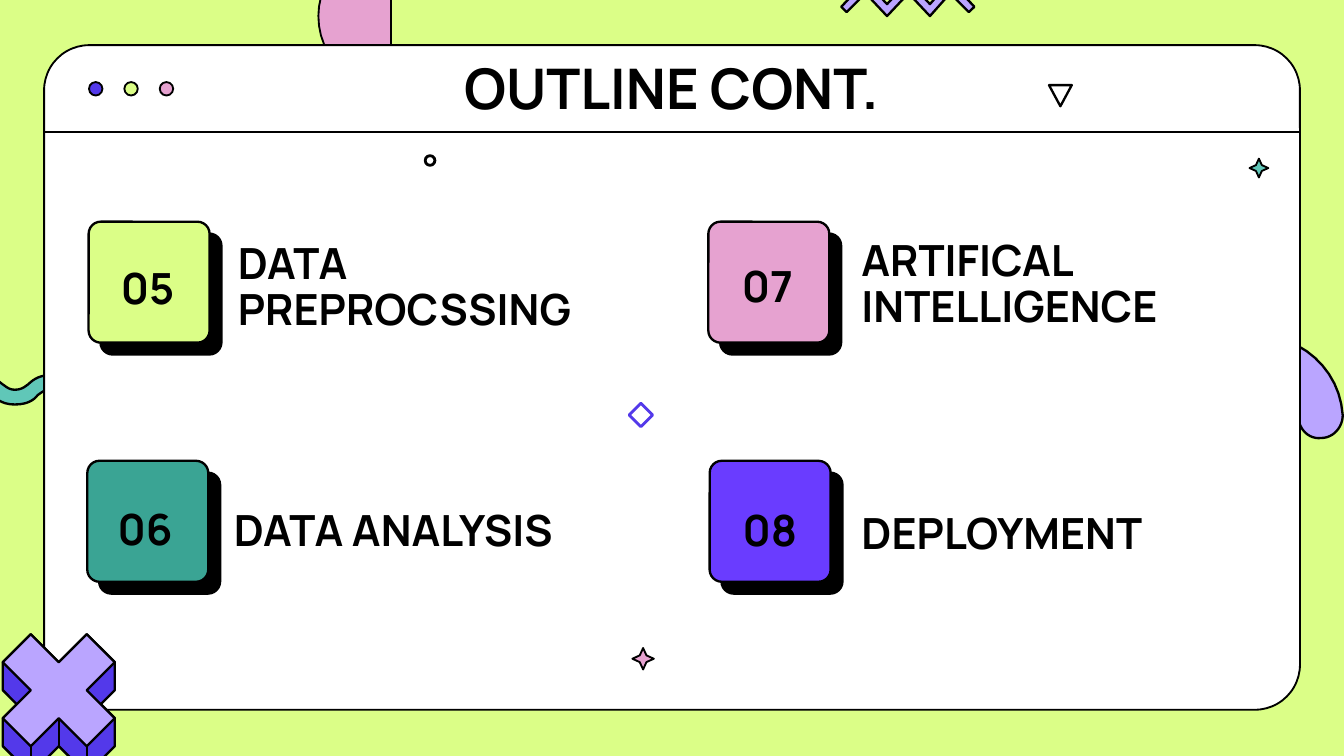
from dataclasses import dataclass

from lxml import etree
from pptx import Presentation
from pptx.dml.color import RGBColor
from pptx.enum.shapes import MSO_CONNECTOR, MSO_SHAPE
from pptx.enum.text import MSO_ANCHOR, MSO_AUTO_SIZE, PP_ALIGN
from pptx.oxml.ns import qn
from pptx.util import Pt

ROUNDED, OVAL = MSO_SHAPE.ROUNDED_RECTANGLE, MSO_SHAPE.OVAL
DIAMOND, STAR = MSO_SHAPE.DIAMOND, MSO_SHAPE.STAR_4_POINT
STRAIGHT = MSO_CONNECTOR.STRAIGHT
TOP, MIDDLE = MSO_ANCHOR.TOP, MSO_ANCHOR.MIDDLE
LEFT, CENTER = PP_ALIGN.LEFT, PP_ALIGN.CENTER
NO_AUTOFIT = MSO_AUTO_SIZE.NONE

BLACK = RGBColor(0x00, 0x00, 0x00)
WHITE = RGBColor(0xFF, 0xFF, 0xFF)
LIME = RGBColor(0xDB, 0xFE, 0x87)
PINK = RGBColor(0xE6, 0xA2, 0xD0)
AQUA = RGBColor(0x60, 0xC7, 0xB8)
TEAL = RGBColor(0x3A, 0xA4, 0x94)
LILAC = RGBColor(0xBA, 0xA5, 0xFF)
INDIGO = RGBColor(0x53, 0x39, 0xEA)
VIOLET = RGBColor(0x6A, 0x3C, 0xFF)

TILE_SIZE = 64.8
NUMBER_SIZE = (76.3, 41)
COMPARISON_LAYOUT = 4  # a title and four body placeholders


@dataclass
class Topic:
    number: str
    label: str
    color: RGBColor
    tile: tuple
    number_at: tuple
    label_box: tuple


TOPICS = [
    Topic("05", "DATA PREPROCSSING", LIME, (47.5, 118.8), (41, 135.4), (120.2, 126, 249.1, 50.4)),
    Topic("06", "DATA ANALYSIS", TEAL, (46.8, 246.9), (39.6, 264.2), (118.1, 269.3, 249.1, 31.7)),
    Topic("07", "ARTIFICAL INTELLIGENCE", PINK, (379.5, 118.8), (373, 133.9), (454.3, 124.6, 180, 53.3)),
    Topic("08", "DEPLOYMENT", VIOLET, (380.2, 246.9), (374.4, 265), (454.3, 270.7, 219.6, 28.8)),
]

# Outlines: a pair is a straight step, six values are a Bezier curve
WAVE = [
    (-10.1, 200.9), (-4.3, 200.9, -1.4, 203.8, 1.4, 205.9),
    (3.6, 207.4, 5, 208.8, 7.9, 208.8), (11.5, 208.8, 13, 207.4, 15.1, 205.9),
    (17.3, 203.8, 20.9, 200.9, 27.4, 200.9), (27.4, 208.8),
    (23.8, 208.8, 22.3, 210.2, 20.2, 211.7), (18, 214.6, 14.4, 216.7, 7.9, 216.7),
    (2.2, 216.7, -1.4, 214.6, -3.6, 211.7), (-5.8, 210.2, -7.2, 208.8, -10.1, 208.8),
]
ARCH = [
    (653.8, 185), (659.5, 182.2, 666, 180.7, 672.5, 180),
    (697, 179.3, 717.8, 198, 719.3, 222.5), (719.3, 229, 714.2, 234.7, 707.8, 234.7),
    (701.3, 235.4, 696.2, 230.4, 695.5, 223.9), (695.5, 212.4, 685.4, 203, 673.9, 203.8),
]
HALF_DISC = [
    (170.6, 8.6), (170.6, 30.2, 187.9, 47.5, 209.5, 47.5),
    (209.5, -29.5), (187.9, -29.5, 170.6, -12.2, 170.6, 8.6),
]
ZIGZAG = [
    (498.2, 8.6), (486.7, -3.6), (475.2, 8.6), (463.7, -3.6), (453.6, 6.5),
    (450.7, 3.6), (463.7, -10.1), (475.2, 2.2), (486.7, -10.1), (498.2, 2.2),
    (509, -10.1), (522, 3.6), (519.1, 6.5), (509, -3.6),
]
TRIANGLE = [(562, 45.6), (574.2, 45.6), (568.1, 56.9)]

# Block cross, in grid steps from its top left corner
CROSS_ORIGIN, CROSS_STEP = (1.5, 339.8), 15
CROSS_SIDE = [(3, 0), (4, 1), (4, 2), (3.5, 2.5), (4, 3), (4, 4), (3, 5), (2, 4),
              (1, 5), (0, 4), (0, 3), (0.5, 2.5), (0, 2), (0, 1), (1, 0), (2, 1)]
CROSS_FACE = [(3, 0), (4, 1), (3, 2), (4, 3), (3, 4), (2, 3),
              (1, 4), (0, 3), (1, 2), (0, 1), (1, 0), (2, 1)]
CROSS_EDGES = [(1, 4), (2, 3), (3, 4)]


def style(shape, fill: RGBColor | None, line: RGBColor, width: float) -> None:
    shape.shadow.inherit = False
    if fill is None:
        shape.fill.background()
    else:
        shape.fill.solid()
        shape.fill.fore_color.rgb = fill
    shape.line.color.rgb = line
    shape.line.width = Pt(width)


def add_preset(page, kind, box: tuple, fill, line=BLACK, width: float = 1, adjust=None):
    shape = page.shapes.add_shape(kind, *map(Pt, box))
    if adjust is not None:
        shape.adjustments[0] = adjust
    style(shape, fill, line, width)
    return shape


def flatten(outline: list, steps: int = 12) -> list:
    points = [outline[0]]
    for segment in outline[1:]:
        if len(segment) == 2:
            points.append(segment)
            continue
        controls = [points[-1], segment[:2], segment[2:4], segment[4:]]
        for step in range(1, steps + 1):
            t = step / steps
            weights = ((1 - t) ** 3, 3 * t * (1 - t) ** 2, 3 * t * t * (1 - t), t ** 3)
            points.append(tuple(sum(w * c[axis] for w, c in zip(weights, controls)) for axis in (0, 1)))
    return points


def add_outline(page, outline: list, fill, width: float = 1.25) -> None:
    points = [(Pt(x), Pt(y)) for x, y in flatten(outline)]
    builder = page.shapes.build_freeform(*points[0], scale=1.0)
    builder.add_line_segments(points[1:], close=True)
    style(builder.convert_to_shape(), fill, BLACK, width)


def add_rule(page, start: tuple, end: tuple, width: float = 1) -> None:
    rule = page.shapes.add_connector(STRAIGHT, *map(Pt, start + end))
    rule.line.color.rgb = BLACK
    rule.line.width = Pt(width)
    etree.SubElement(rule._element.spPr, qn("a:effectLst"))


def add_tile(page, topic: Topic) -> None:
    tile = add_preset(page, ROUNDED, (*topic.tile, TILE_SIZE, TILE_SIZE), topic.color, width=1.25, adjust=0.1)
    effects = tile._element.spPr.find(qn("a:effectLst"))
    shadow = etree.SubElement(effects, qn("a:outerShdw"), dist=str(Pt(9)), dir="2700000",
                              algn="bl", rotWithShape="0")
    etree.SubElement(shadow, qn("a:srgbClr"), val=str(BLACK))


def write(shape, box: tuple, text: str, size: float = 23, align=LEFT, anchor=TOP) -> None:
    for name, value in zip(("left", "top", "width", "height"), box):
        setattr(shape, name, Pt(value))
    frame = shape.text_frame
    frame_format = {"word_wrap": True, "auto_size": NO_AUTOFIT, "vertical_anchor": anchor}
    for name, value in frame_format.items():
        setattr(frame, name, value)
    para = frame.paragraphs[0]
    properties = para._p.get_or_add_pPr()
    properties.set("marL", "0")
    properties.set("indent", "0")
    etree.SubElement(properties, qn("a:buNone"))
    para_format = {"alignment": align, "line_spacing": 0.9, "space_before": Pt(0)}
    for name, value in para_format.items():
        setattr(para, name, value)
    span = para.add_run()
    span.text = text
    for name, value in {"name": "Manrope", "size": Pt(size), "bold": True}.items():
        setattr(span.font, name, value)
    span.font.color.rgb = BLACK


def add_cross(page) -> None:
    def place(column: float, row: float) -> tuple:
        return CROSS_ORIGIN[0] + column * CROSS_STEP, CROSS_ORIGIN[1] + row * CROSS_STEP

    for outline, color in ((CROSS_SIDE, INDIGO), (CROSS_FACE, LILAC)):
        add_outline(page, [place(*point) for point in outline], color)
    for column, row in CROSS_EDGES:
        add_rule(page, place(column, row), place(column, row + 1), 1.25)


def main() -> None:
    deck = Presentation()
    deck.slide_width, deck.slide_height = Pt(720), Pt(405)
    page = deck.slides.add_slide(deck.slide_layouts[COMPARISON_LAYOUT])
    title, *bodies = list(page.placeholders)
    page.background.fill.solid()
    page.background.fill.fore_color.rgb = LIME

    # Shapes peeking out behind the window
    add_outline(page, WAVE, AQUA)
    add_outline(page, ARCH, LILAC)
    add_outline(page, HALF_DISC, PINK, 1)
    add_outline(page, ZIGZAG, LILAC)

    # Window with its header and buttons
    add_preset(page, ROUNDED, (23.6, 24.2, 672.8, 356.1), WHITE, adjust=0.068)
    add_rule(page, (23.6, 70.7), (696.4, 70.7))
    for index, color in enumerate((INDIGO, LIME, PINK)):
        add_preset(page, OVAL, (47.7 + 18.95 * index, 44, 7.2, 7.2), color)

    # Small ornaments
    add_preset(page, STAR, (338.8, 347.2, 11.5, 11.5), PINK, adjust=0.22)
    add_preset(page, STAR, (669.4, 85, 10.1, 10.1), AQUA, adjust=0.22)
    add_preset(page, DIAMOND, (337, 216, 12.6, 12.6), None, INDIGO, 1.5)
    add_preset(page, OVAL, (227.8, 83.4, 5.2, 5.2), None, width=1.5)
    add_outline(page, TRIANGLE, None)
    add_cross(page)

    # Title and topics, with placeholders raised above the window
    for placeholder in (title, *bodies):
        page.shapes._spTree.append(placeholder._element)
    write(title, (56.7, 34.6, 606.2, 28.8), "OUTLINE CONT.", 30, CENTER, MIDDLE)
    for topic, body in zip(TOPICS, bodies):
        add_tile(page, topic)
        write(body, topic.label_box, topic.label)
        number_box = (*topic.number_at, *NUMBER_SIZE)
        number = page.shapes.add_textbox(*map(Pt, number_box))
        write(number, number_box, topic.number, align=CENTER, anchor=MIDDLE)

    deck.save("out.pptx")


if __name__ == "__main__":
    main()
